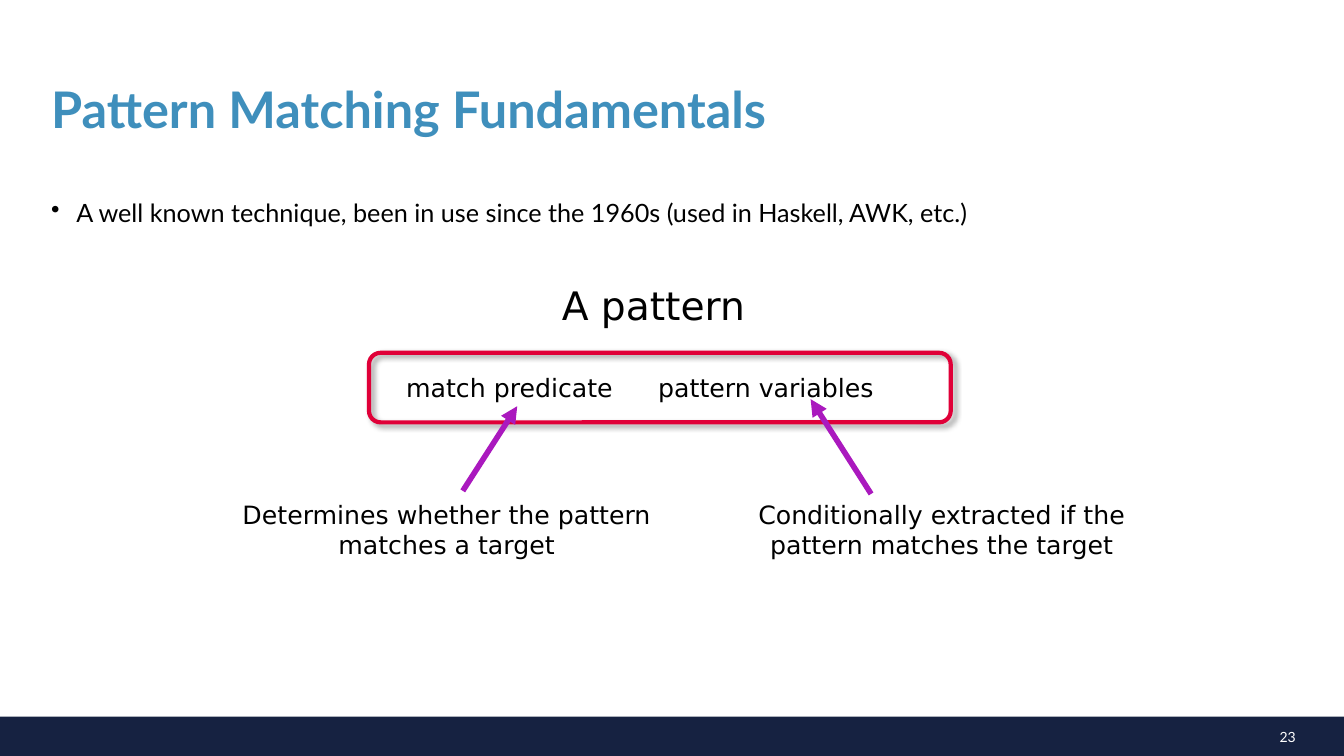
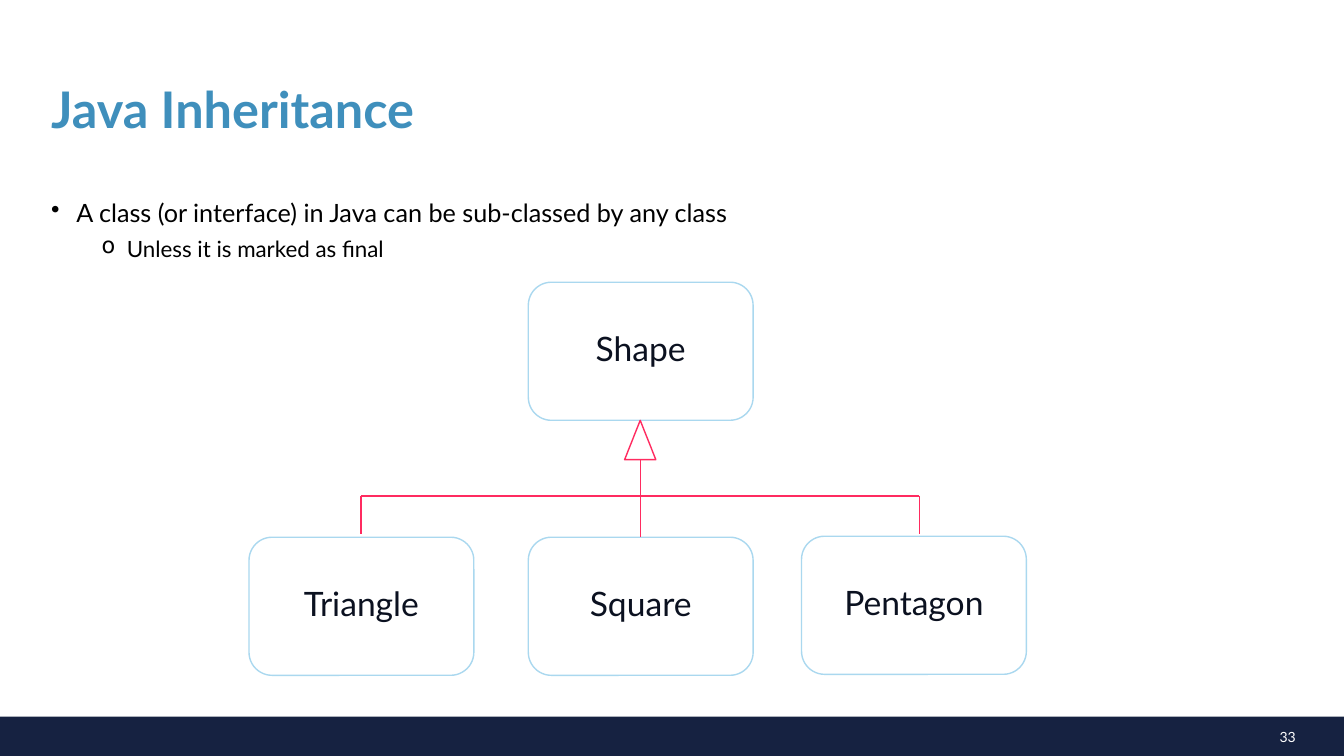
import pptx
import pptx.util
import pptx.dml.color
import pptx.enum.shapes
import pptx.enum.text
import pptx.oxml.ns
import lxml.etree

Inches, Pt = pptx.util.Inches, pptx.util.Pt
SHAPE = pptx.enum.shapes.MSO_SHAPE
ALIGN = pptx.enum.text.PP_ALIGN
ANCHOR = pptx.enum.text.MSO_ANCHOR

WIDTH, HEIGHT = 13.33, 7.5
MARGIN, CONTENT_WIDTH = 0.41, 12.54
BAND_TOP = 7.11

NAVY, BLUE, BLACK, WHITE = "162241", "3F8FBC", "000000", "FFFFFF"
RED, PURPLE, PALE_BLUE, INK, PINK = "E00038", "AA19BE", "AAD8EF", "0B1120", "FF2B60"

TITLE = {"name": "Lato", "size": 36, "color": BLUE, "bold": True}
NUMBER = {"name": "Lato", "size": 10, "color": WHITE}
CLASS_NAME = {"name": "Lato", "size": 24, "color": INK}
HEADING = {"name": "DejaVu Sans", "size": 28, "color": BLACK}
LABEL = {"name": "DejaVu Sans", "size": 18, "color": BLACK}

# Bullet levels: character, indent, space before, font
BULLETS = [
    ("•", 0.25, 10, {"name": "Lato", "size": 18, "color": BLACK}),
    ("o", 0.75, 5, {"name": "Lato", "size": 16, "color": BLACK}),
]
HANGING = 0.25

PATTERN = {
    "title": "Pattern Matching Fundamentals",
    "number": 23,
    "bullets": [(0, "A well known technique, been in use since the 1960s (used in Haskell, AWK, etc.)")],
}
PATTERN_TEXTS = [
    ((4.81, 2.74, 3.34, 0.57), ["A pattern"], HEADING, ALIGN.CENTER),
    ((3.93, 3.64, 5.41, 0.4), ["match predicate\tpattern variables"], LABEL, ALIGN.LEFT),
    ((2.23, 4.9, 4.4, 0.71), ["Determines whether the pattern", "matches a target"], LABEL, ALIGN.CENTER),
    ((7.14, 4.9, 4.4, 0.71), ["Conditionally extracted if the", "pattern matches the target"], LABEL, ALIGN.CENTER),
]
PATTERN_FRAME = (3.66, 3.5, 5.77, 0.69)
PATTERN_ARROWS = [((8.64, 4.9), (8.04, 3.96)), ((4.59, 4.87), (5.13, 4.03))]

INHERITANCE = {
    "title": "Java Inheritance",
    "number": 33,
    "bullets": [
        (0, "A class (or interface) in Java can be sub-classed by any class"),
        (1, "Unless it is marked as final"),
    ],
}
CLASS_SIZE = (2.23, 1.37)
PARENT = ("Shape", 5.24, 2.8)
CHILDREN = [("Triangle", 2.47, 5.33), ("Square", 5.24, 5.33), ("Pentagon", 7.95, 5.32)]
TREE_CENTER, TREE_STEP = 6.35, 2.77
TRIANGLE_SIZE = (0.31, 0.39)
BRANCH_Y, BRANCH_END = 4.92, 5.3


def rgb(color):
    return pptx.dml.color.RGBColor.from_string(color)


def add_xml(parent, tag, **attributes):
    element = lxml.etree.SubElement(parent, pptx.oxml.ns.qn(tag))
    for key, value in attributes.items():
        element.set(key, str(value))
    return element


def add_span(para, text, font):
    span = para.add_run()
    span.text = text
    for key, value in font.items():
        if key == "color":
            span.font.color.rgb = rgb(value)
        else:
            setattr(span.font, key, Pt(value) if key == "size" else value)


def add_paragraphs(frame, lines, font, **formats):
    for index, line in enumerate(lines):
        para = frame.add_paragraph() if index else frame.paragraphs[0]
        for key, value in formats.items():
            setattr(para, key, value)
        add_span(para, line, font)


def add_text(page, place, lines, font, anchor=ANCHOR.TOP, **formats):
    box = page.shapes.add_textbox(*map(Inches, place))
    box.text_frame.word_wrap = True
    box.text_frame.vertical_anchor = anchor
    add_paragraphs(box.text_frame, lines, font, **formats)


def add_outline(page, kind, place, color, weight):
    shape = page.shapes.add_shape(kind, *map(Inches, place))
    shape.shadow.inherit = False
    shape.fill.background()
    shape.line.color.rgb = rgb(color)
    shape.line.width = Pt(weight)
    return shape


def add_line(page, start, end, color, weight, arrow=False):
    line = page.shapes.add_connector(
        pptx.enum.shapes.MSO_CONNECTOR.STRAIGHT, *map(Inches, (*start, *end)))
    line.line.color.rgb = rgb(color)
    line.line.width = Pt(weight)
    if arrow:
        add_xml(line.line._get_or_add_ln(), "a:tailEnd", type="triangle")
    add_xml(line._element.spPr, "a:effectLst")


def add_bullets(page, bullets):
    box = page.shapes.add_textbox(*map(Inches, (MARGIN, 1.91, CONTENT_WIDTH, 0.4 * len(bullets) + 0.18)))
    frame = box.text_frame
    frame.word_wrap = True
    for index, (level, text) in enumerate(bullets):
        character, indent, space, font = BULLETS[level]
        para = frame.add_paragraph() if index else frame.paragraphs[0]
        para.level = level
        para.space_before = Pt(space)
        properties = para._p.get_or_add_pPr()
        properties.set("marL", str(Inches(indent)))
        properties.set("indent", str(-Inches(HANGING)))
        add_xml(properties, "a:buChar", char=character)
        add_span(para, text, font)


def add_page(deck, content):
    """Add a slide with the shared band, number, title and bullets."""
    page = deck.slides.add_slide(deck.slide_layouts[6])
    band = page.shapes.add_shape(
        SHAPE.RECTANGLE, *map(Inches, (0, BAND_TOP, WIDTH, HEIGHT - BAND_TOP)))
    band.shadow.inherit = False
    band.fill.solid()
    band.fill.fore_color.rgb = rgb(NAVY)
    band.line.fill.background()
    add_text(page, (9.57, 7.18, 3.38, 0.27), [str(content["number"])], NUMBER, alignment=ALIGN.RIGHT)
    add_text(page, (MARGIN, 0.37, CONTENT_WIDTH, 1.48), [content["title"]], TITLE,
             ANCHOR.MIDDLE, line_spacing=0.9)
    add_bullets(page, content["bullets"])
    return page


def add_frame_shadow(shape):
    effects = shape._element.spPr.find(pptx.oxml.ns.qn("a:effectLst"))
    shadow = add_xml(effects, "a:outerShdw", blurRad=Pt(4), dist=Pt(3),
                     dir=45 * 60000, algn="tl", rotWithShape=0)
    color = add_xml(shadow, "a:srgbClr", val=BLACK)
    add_xml(color, "a:alpha", val=40000)


def build_pattern(deck):
    page = add_page(deck, PATTERN)
    for place, lines, font, alignment in PATTERN_TEXTS:
        add_text(page, place, lines, font, alignment=alignment)
    add_frame_shadow(add_outline(page, SHAPE.ROUNDED_RECTANGLE, PATTERN_FRAME, RED, 3))
    for start, end in PATTERN_ARROWS:
        add_line(page, start, end, PURPLE, 4, arrow=True)


def build_inheritance(deck):
    page = add_page(deck, INHERITANCE)
    for name, left, top in [PARENT, *CHILDREN]:
        box = add_outline(page, SHAPE.ROUNDED_RECTANGLE, (left, top, *CLASS_SIZE), PALE_BLUE, 1)
        frame = box.text_frame
        frame.vertical_anchor = ANCHOR.MIDDLE
        frame.margin_bottom = Inches(0.12)
        add_paragraphs(frame, [name], CLASS_NAME, alignment=ALIGN.CENTER)

    width, height = TRIANGLE_SIZE
    tip = PARENT[2] + CLASS_SIZE[1]
    add_outline(page, SHAPE.ISOSCELES_TRIANGLE, (TREE_CENTER - width / 2, tip, width, height), PINK, 1)
    left, right = TREE_CENTER - TREE_STEP, TREE_CENTER + TREE_STEP
    add_line(page, (left, BRANCH_Y), (right, BRANCH_Y), PINK, 1)
    add_line(page, (TREE_CENTER, tip + height), (TREE_CENTER, CHILDREN[1][2]), PINK, 1)
    for x in (left, right):
        add_line(page, (x, BRANCH_Y), (x, BRANCH_END), PINK, 1)


def main():
    deck = pptx.Presentation()
    deck.slide_width, deck.slide_height = Inches(WIDTH), Inches(HEIGHT)
    build_pattern(deck)
    build_inheritance(deck)
    deck.save("out.pptx")


if __name__ == "__main__":
    main()
